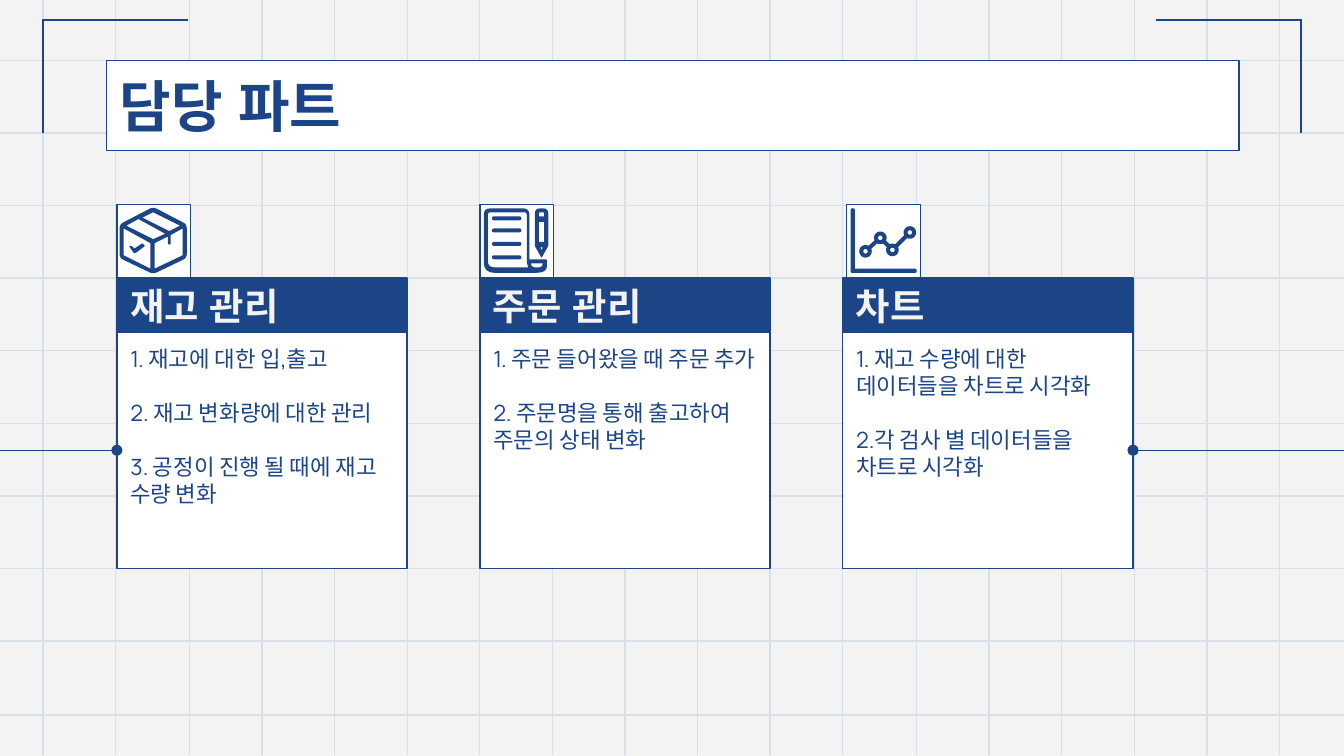
from dataclasses import dataclass
from math import asin, atan2, cos, dist, sin, tau

from lxml.etree import SubElement as Sub
from pptx import Presentation
from pptx.dml.color import RGBColor as Rgb
from pptx.enum.shapes import MSO_CONNECTOR as Link, MSO_SHAPE as Form
from pptx.enum.text import MSO_ANCHOR as Anchor, MSO_AUTO_SIZE as Fit, PP_ALIGN as Align
from pptx.oxml.ns import qn
from pptx.util import Pt

PX = 9144
WIDE, HIGH = 1000, 562


@dataclass(frozen=True)
class Theme:
    navy: str = "1C4587"
    pale: str = "F3F3F3"
    white: str = "FFFFFF"
    grid: str = "D9DFE9"
    head: str = "Montserrat"
    body: str = "Manrope"
    title: int = 30
    label: int = 20
    text: int = 12
    pitch: float = 14.4
    line: float = 0.75


def write(shape, lines, font, size, color, bold=False, anchor=Anchor.TOP, pitch=None):
    frame = shape.text_frame
    frame.auto_size = Fit.NONE
    frame.word_wrap = True
    frame.vertical_anchor = anchor
    frame.margin_left = frame.margin_right = 10 * PX
    frame.margin_top = frame.margin_bottom = 10 * PX
    for i, line in enumerate(lines):
        para = frame.add_paragraph() if i else frame.paragraphs[0]
        props = para._p.get_or_add_pPr()
        props.set("marL", "0")
        props.set("indent", "0")
        Sub(props, qn("a:buNone"))
        para.alignment = Align.LEFT
        para.space_before = Pt(pitch if i and pitch else 0)
        para.line_spacing = Pt(pitch) if pitch else 1.0
        run = para.add_run()
        run.text = line
        run.font.name, run.font.size, run.font.bold = font, Pt(size), bold
        run.font.color.rgb = Rgb.from_string(color)
        props = run._r.get_or_add_rPr()
        props.set("kern", "0")
        Sub(props, qn("a:ea")).set("typeface", font)


def soft(*marks):
    path = []
    for i, (x, y, *rad) in enumerate(marks):
        if not rad:
            path.append((x, y))
            continue
        ends = []
        for other in (marks[i - 1], marks[(i + 1) % len(marks)]):
            part = min(0.5, rad[0] / dist((x, y), other[:2]))
            ends.append((x + (other[0] - x) * part, y + (other[1] - y) * part))
        (ax, ay), (bx, by) = ends
        for t in (0, 0.25, 0.5, 0.75, 1):
            a, b, c = (1 - t) ** 2, 2 * t * (1 - t), t * t
            path.append((a * ax + b * x + c * bx, a * ay + b * y + c * by))
    return path


def arc(x, y, rad, start, sweep, steps=16):
    turns = [start + sweep * k / steps for k in range(steps + 1)]
    return [(x + rad * cos(a), y + rad * sin(a)) for a in turns]


def chain(dots, rad, half):
    walk = dots + dots[-2:0:-1]
    gap = asin(half / rad)
    path = []
    for i, (x, y) in enumerate(walk):
        (px, py), (nx, ny) = walk[i - 1], walk[(i + 1) % len(walk)]
        start = atan2(py - y, px - x) + gap
        stop = atan2(ny - y, nx - x) - gap
        path += arc(x, y, rad, start, (stop - start) % tau)
    return path


class Deck:
    def __init__(self, theme):
        self.theme = theme
        self.file = Presentation()
        self.file.slide_width = WIDE * PX
        self.file.slide_height = WIDE * PX * 9 // 16
        self.slide = self.file.slides.add_slide(self.file.slide_layouts[4])
        self.shapes = self.slide.shapes
        back = self.slide.background.fill
        back.solid()
        back.fore_color.rgb = Rgb.from_string(theme.pale)

    def paint(self, shape, fill, edge=True):
        shape.shadow.inherit = False
        shape.fill.solid()
        shape.fill.fore_color.rgb = Rgb.from_string(fill)
        if edge:
            shape.line.color.rgb = Rgb.from_string(self.theme.navy)
            shape.line.width = Pt(self.theme.line)
        else:
            shape.line.fill.background()
        return shape

    def rect(self, x, y, w, h, fill):
        return self.paint(self.shapes.add_shape(Form.RECTANGLE, x * PX, y * PX, w * PX, h * PX), fill)

    def bar(self, x, y, w, h):
        shape = self.shapes.add_shape(Form.ROUNDED_RECTANGLE, x * PX, y * PX, w * PX, h * PX)
        shape.adjustments[0] = 0.5
        self.paint(shape, self.theme.navy, edge=False)

    def hold(self, idx, x, y, w, h):
        shape = self.slide.placeholders[idx]
        shape.left, shape.top, shape.width, shape.height = x * PX, y * PX, w * PX, h * PX
        shape.element.getparent().append(shape.element)
        return self.paint(shape, self.theme.white)

    def line(self, x1, y1, x2, y2, color, join=None, side=0):
        wire = self.shapes.add_connector(Link.STRAIGHT, x1 * PX, y1 * PX, x2 * PX, y2 * PX)
        wire.line.color.rgb = Rgb.from_string(color)
        wire.line.width = Pt(self.theme.line)
        if join is not None:
            wire.begin_connect(join, side)
            Sub(wire.line._ln, qn("a:headEnd")).set("type", "oval")
        Sub(wire._element.spPr, qn("a:effectLst"))

    def free(self, *loops):
        loops = [[(x * PX, y * PX) for x, y in loop] for loop in loops]
        pen = self.shapes.build_freeform(*loops[0][0], scale=1.0)
        for i, loop in enumerate(loops):
            if i:
                pen.move_to(*loop[0])
            pen.add_line_segments(loop[1:], close=True)
        self.paint(pen.convert_to_shape(), self.theme.navy, edge=False)

    def clean(self):
        for shape in list(self.slide.placeholders):
            if not shape.text_frame.text:
                shape.element.getparent().remove(shape.element)


def box(deck):
    deck.free(
        soft((114, 154, 3), (139, 167, 3), (139, 192, 3), (114, 204, 3), (89, 192, 3), (89, 167, 3)),
        [(114, 158), (134, 168), (126, 172), (106, 162)],
        [(103, 163), (123, 174), (114, 178), (94, 168)],
        [(92, 170), (112, 181), (112, 200), (92, 190)],
        soft((136, 170), (136, 190), (115, 200), (115, 181), (125, 176),
             (125, 182, 1), (127, 182, 1), (127, 175)))
    deck.free(soft((96, 183, 1), (98, 183, 1), (100, 185), (106, 181, 1),
                   (108, 183, 1), (100, 189, 2)))


def order(deck):
    deck.free(
        soft((360, 155, 5), (394, 155, 5), (394, 193), (407, 193, 1), (407, 203, 8), (360, 203, 8)),
        soft((363, 158, 2), (392, 158, 2), (392, 195), (393, 199), (363, 199, 5)),
        soft((395, 196), (404, 196), (403, 199, 3), (396, 199, 3)))
    for i in range(4):
        deck.bar(366, 161 + 29 * i // 3, 22, 3)
    deck.free(
        soft((398, 155, 4), (408, 155, 4), (408, 183, 1), (403, 192, 1), (398, 183, 1)),
        soft((401, 161), (401, 158, 1), (405, 158, 1), (405, 161)),
        [(401, 165), (405, 165), (405, 180), (401, 180)],
        [(402, 184), (404, 184), (403, 186)])


def graph(deck):
    deck.free(soft((633, 155, 1), (636, 155, 1), (636, 200), (682, 200, 1), (682, 203, 1), (633, 203, 1)))
    dots = [(644, 187), (655, 177), (664, 186), (677, 173)]
    deck.free(chain(dots, 4.7, 1.5), *[arc(x, y, 1.7, 0, tau) for x, y in dots])


CARDS = [
    ("재고 관리", 87, box, ["1. 재고에 대한 입,출고", "2. 재고 변화량에 대한 관리",
                        "3. 공정이 진행 될 때에 재고 수량 변화"]),
    ("주문 관리", 357, order, ["1. 주문 들어왔을 때 주문 추가",
                           "2. 주문명을 통해 출고하여 주문의 상태 변화"]),
    ("차트", 630, graph, ["1. 재고 수량에 대한 데이터들을 차트로 시각화",
                        "2.각 검사 별 데이터들을 차트로 시각화"]),
]


def main():
    look = Theme()
    deck = Deck(look)
    for i in range(10):
        y = (451 + 541 * i) // 10
        deck.line(0, y, WIDE, y, look.grid)
    for i in range(18):
        x = (328 + 541 * i) // 10
        deck.line(x, HIGH, x, 0, look.grid)
    for x, end in ((32, 140), (968, 860)):
        deck.line(x, 99, x, 14, look.navy)
        deck.line(end, 15, x, 15, look.navy)

    lists = []
    for i, (name, tile, icon, lines) in enumerate(CARDS):
        x = 87 + 270 * i
        deck.rect(tile, 152, 55, 55, look.white)
        body = deck.hold(i + 1, x, 247, 216, 176)
        write(body, lines, look.body, look.text, look.navy, pitch=look.pitch)
        lists.append(body)
        label = deck.rect(x, 207, 216, 40, look.navy)
        write(label, [name], look.head, look.label, look.pale, bold=True, anchor=Anchor.MIDDLE)
        icon(deck)
    deck.line(843, 335, WIDE, 335, look.navy, join=lists[-1], side=3)
    deck.line(87, 335, 0, 335, look.navy, join=lists[0], side=1)

    title = deck.hold(0, 79, 45, 843, 67)
    write(title, ["담당 파트"], look.head, look.title, look.navy, bold=True, anchor=Anchor.MIDDLE)
    deck.clean()
    deck.file.save("out.pptx")


if __name__ == "__main__":
    main()
